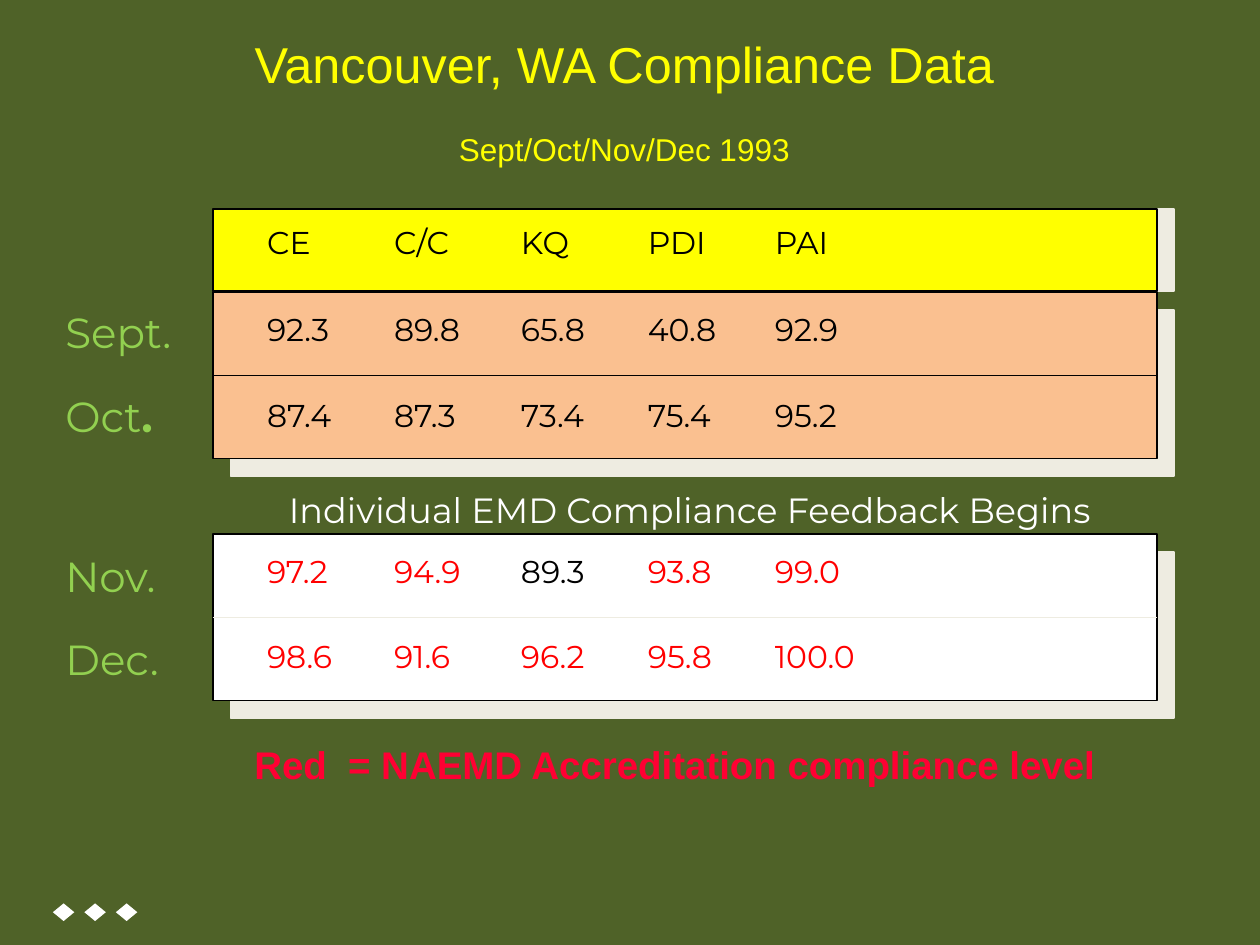
"""Build the Vancouver compliance data slide."""
import pptx
import pptx.dml.color
import pptx.enum.shapes
import pptx.enum.text
import pptx.oxml
import pptx.oxml.ns
import pptx.util

Inches = pptx.util.Inches
Pt = pptx.util.Pt
RGBColor = pptx.dml.color.RGBColor
MSO_SHAPE = pptx.enum.shapes.MSO_SHAPE
ALIGN = pptx.enum.text.PP_ALIGN
ANCHOR = pptx.enum.text.MSO_ANCHOR

OLIVE = RGBColor(0x4F, 0x62, 0x28)
YELLOW = RGBColor(0xFF, 0xFF, 0x00)
PEACH = RGBColor(0xFA, 0xC0, 0x90)
CREAM = RGBColor(0xEE, 0xEC, 0xE1)
LIME = RGBColor(0x92, 0xD0, 0x50)
RED = RGBColor(0xFF, 0x00, 0x00)
CRIMSON = RGBColor(0xFF, 0x00, 0x33)
BLACK = RGBColor(0x00, 0x00, 0x00)
WHITE = RGBColor(0xFF, 0xFF, 0xFF)

PANEL_LEFT, PANEL_WIDTH = 1.69, 7.49
COLUMN_LEFT, COLUMN_STEP = 2.12, 1.0075
ROWS = [
    (1.77, ["CE", "C/C", "KQ", "PDI", "PAI"], BLACK),
    (2.46, ["92.3", "89.8", "65.8", "40.8", "92.9"], BLACK),
    (3.14, ["87.4", "87.3", "73.4", "75.4", "95.2"], BLACK),
    (4.38, ["97.2", "94.9", "89.3", "93.8", "99.0"], RED),
    (5.06, ["98.6", "91.6", "96.2", "95.8", "100.0"], RED),
]
BELOW_LEVEL = "89.3"
MONTHS = [(2.38, "Sept."), (3.05, "Oct"), (4.32, "Nov."), (4.98, "Dec.")]


def shadow_effect(distance, angle):
    """Return an effect list holding one hard cream shadow."""
    ns = pptx.oxml.ns.nsdecls("a")
    return pptx.oxml.parse_xml(
        f'<a:effectLst {ns}><a:outerShdw dist="{Pt(distance)}" dir="{angle * 60000}" '
        f'algn="ctr" rotWithShape="0"><a:srgbClr val="{CREAM}"/></a:outerShdw></a:effectLst>')


def format_run(r, size, color, font="Montserrat", bold=None):
    """Set the size, colour, typeface and weight of a run."""
    r.font.size = Pt(size)
    r.font.color.rgb = color
    r.font.name = font
    r.font.bold = bold


def add_text(slide, box, text, size, color, font="Montserrat", bold=None,
             align=ALIGN.LEFT, inset=True, wrap=True):
    """Add a text box holding one formatted paragraph."""
    tf = slide.shapes.add_textbox(*map(Inches, box)).text_frame
    tf.word_wrap = wrap
    if not inset:
        tf.margin_left = tf.margin_right = tf.margin_top = tf.margin_bottom = 0
    tf.text = text
    p = tf.paragraphs[0]
    p.alignment = align
    format_run(p.runs[0], size, color, font, bold)
    return tf


def add_title(slide):
    """Add the centred two-line heading with shadowed letters."""
    tf = add_text(slide, (0.12, 0.17, 9.67, 1.25), "Vancouver, WA Compliance Data",
                  28.8, YELLOW, "Arial", align=ALIGN.CENTER)
    tf.vertical_anchor = ANCHOR.MIDDLE
    p = tf.add_paragraph()
    p.text = "Sept/Oct/Nov/Dec 1993"
    p.alignment = ALIGN.CENTER
    p.space_before = Pt(21)
    format_run(p.runs[0], 18, YELLOW, "Arial")
    for p in tf.paragraphs:
        fill = p.runs[0].font._element.find(pptx.oxml.ns.qn("a:solidFill"))
        fill.addnext(shadow_effect(1.5, 45))


def add_panel(slide, top, height, color, distance, angle):
    """Add an outlined panel with an offset cream shadow."""
    sp = slide.shapes.add_shape(MSO_SHAPE.RECTANGLE, *map(
        Inches, (PANEL_LEFT, top, PANEL_WIDTH, height)))
    sp.fill.solid()
    sp.fill.fore_color.rgb = color
    sp.line.color.rgb = BLACK
    sp.line.width = Pt(1)
    sp._element.spPr.append(shadow_effect(distance, angle))


def add_divider(slide, y, color):
    """Add a row divider across a panel."""
    line = slide.shapes.add_connector(
        pptx.enum.shapes.MSO_CONNECTOR.STRAIGHT, Inches(PANEL_LEFT), Inches(y),
        Inches(PANEL_LEFT + PANEL_WIDTH), Inches(y))
    line.line.color.rgb = color
    line.line.width = Pt(1)
    line._element.spPr.append(pptx.oxml.parse_xml(
        f'<a:effectLst {pptx.oxml.ns.nsdecls("a")}/>'))


def add_row(slide, top, values, color):
    """Add one row of evenly spaced values."""
    for i, value in enumerate(values):
        box = (COLUMN_LEFT + i * COLUMN_STEP, top, 0.67, 0.3)
        add_text(slide, box, value, 18, BLACK if value == BELOW_LEVEL else color,
                 inset=False, wrap=False)


def add_months(slide):
    """Add the month labels beside the panels."""
    for top, month in MONTHS:
        tf = add_text(slide, (0.42, top, 1.32, 0.51), month, 24, LIME)
        if month == "Oct":
            r = tf.paragraphs[0].add_run()
            r.text = "."
            format_run(r, 24, LIME, bold=True)


def add_diamond(slide, left):
    """Add a small white diamond at the foot of the slide."""
    sp = slide.shapes.add_shape(MSO_SHAPE.DIAMOND, *map(Inches, (left, 7.17, 0.17, 0.14)))
    sp.shadow.inherit = False
    sp.fill.solid()
    sp.fill.fore_color.rgb = WHITE
    sp.line.fill.background()


def main():
    """Build and save the slide."""
    prs = pptx.Presentation()
    prs.slide_width, prs.slide_height = Inches(10), Inches(7.5)
    slide = prs.slides.add_slide(prs.slide_layouts[6])
    slide.background.fill.solid()
    slide.background.fill.fore_color.rgb = OLIVE

    add_title(slide)
    add_panel(slide, 1.66, 0.65, YELLOW, 10, 0)
    add_panel(slide, 2.32, 1.32, PEACH, 14.1, 45)
    add_panel(slide, 4.24, 1.32, WHITE, 14.1, 45)
    add_divider(slide, 2.98, BLACK)
    add_divider(slide, 4.9, CREAM)
    for row in ROWS:
        add_row(slide, *row)
    add_months(slide)
    add_text(slide, (1.67, 3.83, 7.61, 0.44), "Individual EMD Compliance Feedback Begins",
             20, WHITE, align=ALIGN.CENTER)
    add_text(slide, (1.92, 5.83, 6.98, 0.47), "Red  = NAEMD Accreditation compliance level",
             22, CRIMSON, "Arial", bold=True, wrap=False)
    for i in range(3):
        add_diamond(slide, 0.42 + i * 0.25)
    prs.save("out.pptx")


if __name__ == "__main__":
    main()
